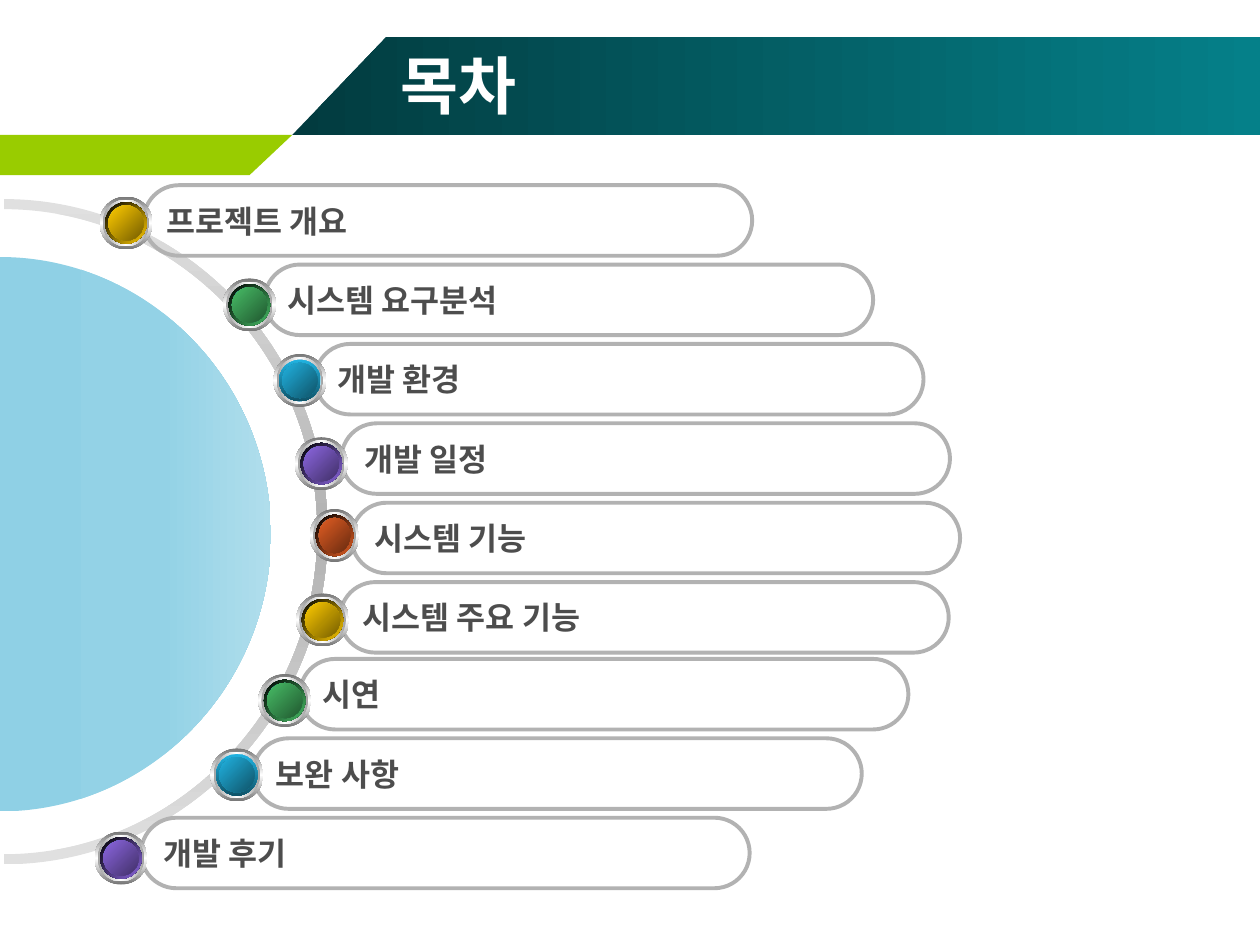
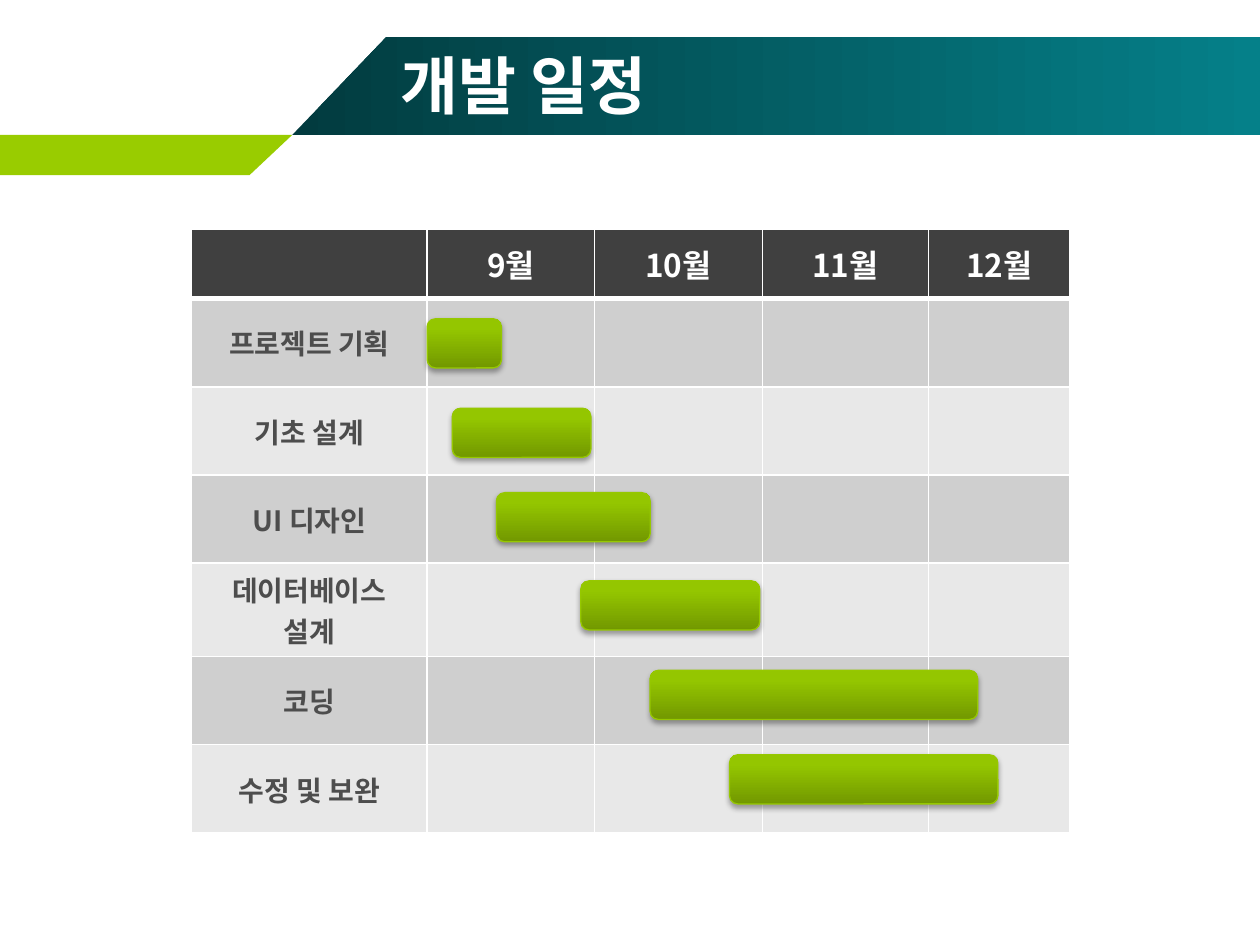
from dataclasses import dataclass

from lxml import etree
from pptx import Presentation
from pptx.dml.color import RGBColor
from pptx.enum.shapes import MSO_SHAPE as Preset
from pptx.enum.text import MSO_ANCHOR as Anchor, MSO_AUTO_SIZE as AutoSize, PP_ALIGN as Align
from pptx.oxml.ns import qn
from pptx.util import Inches, Pt

FONT = "Noto Sans CJK KR"
WHITE = RGBColor(0xFF, 0xFF, 0xFF)
BLACK = RGBColor(0x00, 0x00, 0x00)
TEXT_GRAY = RGBColor(0x4D, 0x4D, 0x4D)
LINE_GRAY = RGBColor(0xB2, 0xB2, 0xB2)
PALE_GRAY = RGBColor(0xE0, 0xE0, 0xE0)
BEZEL_GRAY = RGBColor(0x76, 0x76, 0x76)
INNER_GRAY = RGBColor(0xA3, 0xA3, 0xA3)
TEAL_DARK = RGBColor(0x02, 0x3B, 0x3F)
TEAL = RGBColor(0x05, 0x80, 0x89)
LIME = RGBColor(0x99, 0xCC, 0x00)
SKY = RGBColor(0x8F, 0xD0, 0xE5)
SKY_MID = RGBColor(0x93, 0xD2, 0xE6)
SKY_LIGHT = RGBColor(0xB0, 0xDE, 0xEC)
ACCENT = RGBColor(0x2C, 0xA9, 0xD0)
ACCENT_DARK = RGBColor(0x22, 0x81, 0x9F)
HEADER_GRAY = RGBColor(0x40, 0x40, 0x40)
ROW_DARK = RGBColor(0xCF, 0xCF, 0xCF)
ROW_LIGHT = RGBColor(0xE8, 0xE8, 0xE8)
BAR_DARK = RGBColor(0x72, 0x98, 0x00)
BAR_MID = RGBColor(0x94, 0xC6, 0x00)
BAR_TOP = RGBColor(0x95, 0xC7, 0x00)
BAR_LINE = RGBColor(0x96, 0xC8, 0x00)
ARC_PULL = 0.55


@dataclass
class OrbColour:
    face: RGBColor
    shade: RGBColor
    rim: tuple
    rim_angle: int = 45


def black_rimmed(face, shade):
    return OrbColour(face, shade, ((0, BLACK), (100, face)))


GOLD = black_rimmed(RGBColor(0xFF, 0xCC, 0x00), RGBColor(0x76, 0x5E, 0x00))
GREEN = black_rimmed(RGBColor(0x48, 0xBE, 0x67), RGBColor(0x21, 0x58, 0x30))
VIOLET = black_rimmed(RGBColor(0x8D, 0x67, 0xE1), RGBColor(0x41, 0x30, 0x68))
ORANGE = black_rimmed(RGBColor(0xE3, 0x5E, 0x23), RGBColor(0x69, 0x2B, 0x10))
BLUE_FACE = RGBColor(0x21, 0xB3, 0xE1)
BLUE_SHADE = RGBColor(0x0F, 0x53, 0x68)
BLUE = OrbColour(BLUE_FACE, BLUE_SHADE, ((0, BLUE_FACE), (100, BLUE_SHADE)), 90)

# label, pill left, pill top, orb left, orb top, orb width, colour
TOPICS = [
    ("프로젝트 개요", 1.14, 0, 0.79, 0.09, 0.42, GOLD),
    ("시스템 요구분석", 2.1, 0.63, 1.77, 0.74, 0.42, GREEN),
    ("개발 환경", 2.5, 1.26, 2.17, 1.34, 0.42, BLUE),
    ("개발 일정", 2.71, 1.89, 2.34, 2, 0.42, VIOLET),
    ("시스템 기능", 2.79, 2.52, 2.46, 2.57, 0.39, ORANGE),
    ("시스템 주요 기능", 2.7, 3.15, 2.35, 3.24, 0.42, GOLD),
    ("시연", 2.38, 3.76, 2.05, 3.88, 0.42, GREEN),
    ("보완 사항", 2.01, 4.39, 1.67, 4.47, 0.42, BLUE),
    ("개발 후기", 1.12, 5.02, 0.75, 5.13, 0.42, VIOLET),
]

MONTHS = ["9월", "10월", "11월", "12월"]
COLUMN_WIDTHS = [1.87, 1.33, 1.33, 1.32, 1.12]
HEADER_HEIGHT, TASK_HEIGHT = 0.55, 0.7
# task, bar left, bar top, bar width
TASKS = [
    ("프로젝트 기획", 1.87, 0.71, 0.59),
    ("기초 설계", 2.07, 1.42, 1.1),
    ("UI 디자인", 2.42, 2.09, 1.22),
    ("데이터베이스 설계", 3.09, 2.79, 1.42),
    ("코딩", 3.64, 3.5, 2.6),
    ("수정 및 보완", 4.27, 4.17, 2.13),
]


@dataclass
class Box:
    left: float
    top: float

    def point(self, x, y):
        return Inches(self.left + x), Inches(self.top + y)

    def place(self, x, y, width, height):
        return *self.point(x, y), Inches(width), Inches(height)


def apply(target, values):
    for name, value in values.items():
        setattr(target, name, value)


def paint_gradient(shape, stops, angle):
    shape.fill.gradient()
    gradient = shape.element.spPr.find(qn("a:gradFill"))
    gradient.clear()
    gradient.set("rotWithShape", "1")
    stop_list = etree.SubElement(gradient, qn("a:gsLst"))
    for position, colour in stops:
        stop = etree.SubElement(stop_list, qn("a:gs"), pos=str(position * 1000))
        etree.SubElement(stop, qn("a:srgbClr"), val=str(colour))
    etree.SubElement(gradient, qn("a:lin"), ang=str(angle * 60000), scaled="0")


def write(frame, text, size, colour, align=Align.LEFT):
    para = frame.paragraphs[0]
    para.alignment = align
    span = para.add_run()
    span.text = text
    apply(span.font, {"name": FONT, "size": Pt(size), "bold": True})
    span.font.color.rgb = colour


def add_preset(shapes, preset, place):
    shape = shapes.add_shape(preset, *place)
    shape.shadow.inherit = False
    shape.line.fill.background()
    return shape


def bend(shape, segments):
    outline = next(shape.element.iter(qn("a:path")))
    lines = iter(outline.findall(qn("a:lnTo")))
    for segment in segments:
        first = next(lines)
        if segment == "curve":
            curve = etree.Element(qn("a:cubicBezTo"))
            first.addprevious(curve)
            for line in (first, next(lines), next(lines)):
                curve.append(line[0])
                outline.remove(line)


def add_outline(page, box, points, segments=()):
    start, *others = [box.point(x, y) for x, y in points]
    builder = page.shapes.build_freeform(*start)
    builder.add_line_segments(others, close=True)
    shape = builder.convert_to_shape()
    bend(shape, segments)
    shape.shadow.inherit = False
    shape.line.fill.background()
    return shape


def right_arc(x, y, radius_x, radius_y):
    steps = [(0, -1), (ARC_PULL, -1), (1, -ARC_PULL), (1, 0),
             (1, ARC_PULL), (ARC_PULL, 1), (0, 1)]
    return [(x + radius_x * across, y + radius_y * down) for across, down in steps]


def add_bands(page, box):
    teal_band = add_outline(page, box, [(2.32, 0.78), (10, 0.78), (10, 0), (3.07, 0)])
    paint_gradient(teal_band, [(0, TEAL_DARK), (100, TEAL)], 0)
    lime_band = add_outline(page, box, [(0, 0.78), (2.32, 0.78), (1.98, 1.1), (0, 1.1)])
    lime_band.fill.solid()
    lime_band.fill.fore_color.rgb = LIME


def start_page(deck, text):
    page = deck.slides.add_slide(deck.slide_layouts[5])
    box = Box(0, 0.29)
    add_bands(page, box)
    title = page.shapes.title
    page.shapes.element.append(title.element)
    left, top, width, height = box.place(3.08, 0.07, 6.67, 0.62)
    apply(title, {"left": left, "top": top, "width": width, "height": height})
    apply(title.text_frame, {"vertical_anchor": Anchor.MIDDLE, "word_wrap": True,
                             "auto_size": AutoSize.NONE})
    write(title.text_frame, text, 36, WHITE)
    return page


def add_half_globe(page, box):
    outer = right_arc(0.03, 2.75, 2.57, 2.64)
    inner = right_arc(0.03, 2.75, 2.49, 2.56)
    half_turn = ["curve", "curve"]
    ring = add_outline(page, box, outer + inner[::-1], half_turn + ["line"] + half_turn)
    paint_gradient(ring, [(0, PALE_GRAY), (50, LINE_GRAY), (100, PALE_GRAY)], 90)
    disc = add_outline(page, box, right_arc(0, 2.77, 2.15, 2.2), half_turn)
    paint_gradient(disc, [(0, SKY), (60, SKY_MID), (100, SKY_LIGHT)], 0)


def add_orb(page, box, width, colour):
    layers = [
        (0, [(0, BEZEL_GRAY), (50, WHITE), (100, BEZEL_GRAY)], 90),
        (0.05, [(0, INNER_GRAY), (50, WHITE), (100, INNER_GRAY)], 0),
        (0.09, [(0, WHITE), (50, ACCENT), (100, WHITE)], 45),
        (0.09, colour.rim, colour.rim_angle),
        (0.14, [(0, ACCENT_DARK), (50, ACCENT), (100, ACCENT_DARK)], 315),
        (0.14, [(0, colour.face), (100, colour.shade)], 45),
    ]
    group = page.shapes.add_group_shape()
    for trim, stops, angle in layers:
        place = box.place(trim / 2, trim / 2, width - trim, 0.42 - trim)
        paint_gradient(add_preset(group.shapes, Preset.OVAL, place), stops, angle)


def add_pill(page, place, label):
    pill = add_preset(page.shapes, Preset.ROUNDED_RECTANGLE, place)
    pill.adjustments[0] = 0.5
    pill.fill.background()
    pill.line.color.rgb = LINE_GRAY
    pill.line.width = Pt(2.25)
    apply(pill.text_frame, {"vertical_anchor": Anchor.MIDDLE, "word_wrap": False})
    write(pill.text_frame, label, 18, TEXT_GRAY)


def add_topics(page, box):
    add_half_globe(page, box)
    for label, pill_left, pill_top, orb_left, orb_top, orb_width, colour in TOPICS:
        add_pill(page, box.place(pill_left, pill_top, 4.83, 0.56), label)
        add_orb(page, Box(box.left + orb_left, box.top + orb_top), orb_width, colour)


def add_borders(cell_xml, bottom_width):
    properties = cell_xml.get_or_add_tcPr()
    widths = {"a:lnL": 1, "a:lnR": 1, "a:lnT": 1, "a:lnB": bottom_width}
    for index, (side, width) in enumerate(widths.items()):
        border = etree.Element(qn(side), w=str(Pt(width)))
        fill = etree.SubElement(border, qn("a:solidFill"))
        etree.SubElement(fill, qn("a:srgbClr"), val=str(WHITE))
        properties.insert(index, border)


def add_schedule_table(page, box):
    rows = [["", *MONTHS]] + [[task[0]] + [""] * len(MONTHS) for task in TASKS]
    heights = [HEADER_HEIGHT] + [TASK_HEIGHT] * len(TASKS)
    place = box.place(0, 0, sum(COLUMN_WIDTHS), sum(heights))
    frame = page.shapes.add_table(len(rows), len(COLUMN_WIDTHS), *place)
    table = frame.table
    for column, width in zip(table.columns, COLUMN_WIDTHS):
        column.width = Inches(width)
    for index, (row, height, texts) in enumerate(zip(table.rows, heights, rows)):
        row.height = Inches(height)
        size, colour = (16, TEXT_GRAY) if index else (18, WHITE)
        shade = (ROW_DARK if index % 2 else ROW_LIGHT) if index else HEADER_GRAY
        for cell, text in zip(row.cells, texts):
            cell.vertical_anchor = Anchor.MIDDLE
            cell.fill.solid()
            cell.fill.fore_color.rgb = shade
            if text:
                write(cell.text_frame, text, size, colour, Align.CENTER)
    for index, cell_xml in enumerate(frame.element.iter(qn("a:tc"))):
        add_borders(cell_xml, 3 if index < len(COLUMN_WIDTHS) else 1)


def add_drop_shadow(shape):
    effects = shape.element.spPr.find(qn("a:effectLst"))
    shadow = etree.SubElement(effects, qn("a:outerShdw"), blurRad=str(Pt(3.1)),
                              dist=str(Pt(1.8)), dir="5400000", rotWithShape="0")
    colour = etree.SubElement(shadow, qn("a:srgbClr"), val=str(BLACK))
    etree.SubElement(colour, qn("a:alpha"), val="35000")


def add_schedule(page, box):
    add_schedule_table(page, box)
    for _, left, top, width in TASKS:
        bar = add_preset(page.shapes, Preset.ROUNDED_RECTANGLE, box.place(left, top, width, 0.39))
        paint_gradient(bar, [(0, BAR_DARK), (80, BAR_MID), (100, BAR_TOP)], 270)
        bar.line.color.rgb = BAR_LINE
        bar.line.width = Pt(0.75)
        add_drop_shadow(bar)


def set_korean_font(page):
    for latin in list(page.element.iter(qn("a:latin"))):
        latin.addnext(etree.Element(qn("a:ea"), typeface=FONT))


def main():
    deck = Presentation()
    apply(deck, {"slide_width": Inches(10), "slide_height": Inches(7.5)})
    add_topics(start_page(deck, "목차"), Box(0, 1.47))
    add_schedule(start_page(deck, "개발 일정"), Box(1.52, 1.82))
    for page in deck.slides:
        set_korean_font(page)
    deck.save("out.pptx")


if __name__ == "__main__":
    main()
